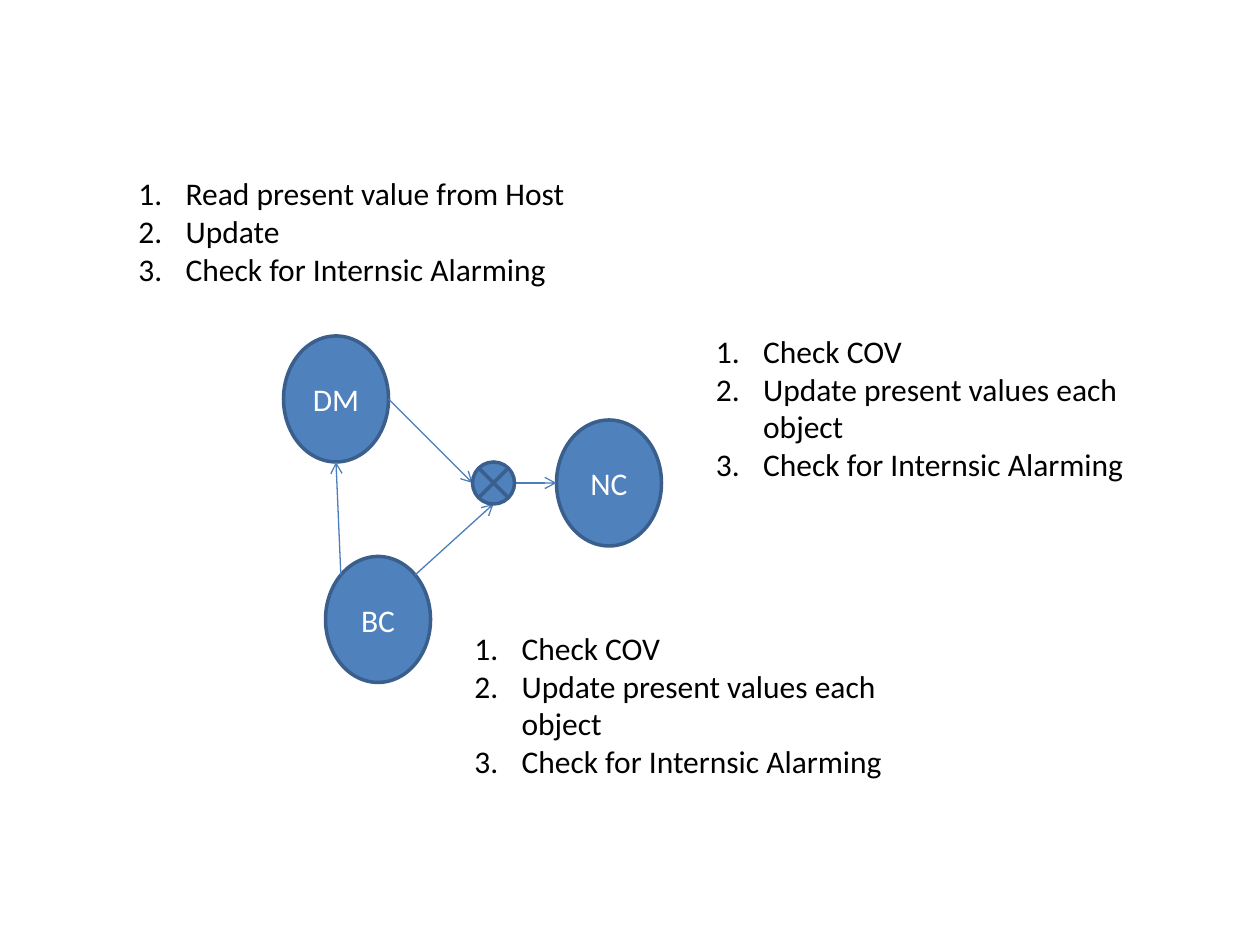
import math

import pptx
import pptx.dml.color
import pptx.enum.shapes
import pptx.enum.text
import pptx.oxml.ns
import pptx.oxml.xmlchemy
import pptx.util
from lxml import etree

PX = 7620
FONT = "Calibri"
BLUE = pptx.dml.color.RGBColor(0x4F, 0x81, 0xBD)
OUTLINE = pptx.dml.color.RGBColor(0x3A, 0x5F, 0x8C)
ARROW = pptx.dml.color.RGBColor(0x4B, 0x7E, 0xBC)
WHITE = pptx.dml.color.RGBColor(0xFF, 0xFF, 0xFF)
BLACK = pptx.dml.color.RGBColor(0, 0, 0)
SHAPES = pptx.enum.shapes.MSO_SHAPE
TOP, RIGHT, BOTTOM, LEFT = -90, 0, 90, 180
UPPER_LEFT, UPPER_RIGHT = -135, -45

ALARM_STEP = "Check for Internsic Alarming"
HOST_STEPS = ["Read present value from Host", "Update", ALARM_STEP]
COV_STEPS = ["Check COV", "Update present values each object", ALARM_STEP]


def emu(*lengths):
    """Turn px lengths into EMU."""
    return [pptx.util.Emu(round(length * PX)) for length in lengths]


def add_run(paragraph, text, color):
    """Add one run in the slide's text style."""
    run = paragraph.add_run()
    run.text = text
    run.font.name = FONT
    run.font.size = pptx.util.Pt(18)
    run.font.color.rgb = color


def add_node(slide, box, kind, label=None):
    """Draw a node of the flow, with an optional centred label."""
    node = slide.shapes.add_shape(kind, *emu(*box))
    node.shadow.inherit = False
    node.fill.solid()
    node.fill.fore_color.rgb = BLUE
    node.line.color.rgb = OUTLINE
    node.line.width = pptx.util.Pt(2)
    if label:
        node.text_frame.vertical_anchor = pptx.enum.text.MSO_ANCHOR.MIDDLE
        paragraph = node.text_frame.paragraphs[0]
        paragraph.alignment = pptx.enum.text.PP_ALIGN.CENTER
        add_run(paragraph, label, WHITE)


def rim_point(box, degrees):
    """Return the point at an angle on the ellipse inside a box."""
    left, top, width, height = box
    angle = math.radians(degrees)
    return (left + width / 2 * (1 + math.cos(angle)),
            top + height / 2 * (1 + math.sin(angle)))


def add_arrow(slide, start, end):
    """Draw a thin arrow between two points."""
    arrow = slide.shapes.add_connector(
        pptx.enum.shapes.MSO_CONNECTOR.STRAIGHT, *emu(*start, *end))
    arrow.line.color.rgb = ARROW
    arrow.line.width = pptx.util.Pt(0.75)
    qn = pptx.oxml.ns.qn
    properties = arrow.element.spPr
    etree.SubElement(properties.find(qn("a:ln")), qn("a:tailEnd"), type="arrow")
    etree.SubElement(properties, qn("a:effectLst"))


def add_flow(slide, box):
    """Draw the three nodes, their junction and the arrows between them."""
    left, top = box[:2]
    dm = (left, top, 100, 120)
    nc = (left + 260, top + 80, 100, 120)
    bc = (left + 40, top + 210, 100, 120)
    junction = (left + 180, top + 120, 40, 40)
    for node, label in ((dm, "DM"), (nc, "NC"), (bc, "BC")):
        add_node(slide, node, SHAPES.OVAL, label)
    for source, exit_angle, target, entry_angle in (
        (bc, UPPER_LEFT, dm, BOTTOM),
        (bc, UPPER_RIGHT, junction, BOTTOM),
        (dm, RIGHT, junction, LEFT),
        (junction, RIGHT, nc, LEFT),
    ):
        add_arrow(slide, rim_point(source, exit_angle), rim_point(target, entry_angle))
    add_node(slide, junction, SHAPES.FLOWCHART_SUMMING_JUNCTION)


def add_steps(slide, box, steps):
    """Write a numbered list of steps."""
    frame = slide.shapes.add_textbox(*emu(*box)).text_frame
    frame.word_wrap = True
    frame.auto_size = pptx.enum.text.MSO_AUTO_SIZE.SHAPE_TO_FIT_TEXT
    qn = pptx.oxml.ns.qn
    indent = emu(45)[0]
    for index, step in enumerate(steps):
        paragraph = frame.add_paragraph() if index else frame.paragraphs[0]
        add_run(paragraph, step, BLACK)
        properties = paragraph._p.get_or_add_pPr()
        properties.set("marL", str(indent))
        properties.set("indent", str(-indent))
        etree.SubElement(properties, qn("a:buFont"), typeface="+mj-lt")
        etree.SubElement(properties, qn("a:buAutoNum"), type="arabicPeriod")


def main():
    """Build the slide and save it."""
    deck = pptx.Presentation()
    deck.slide_width, deck.slide_height = emu(1200, 900)
    slide = deck.slides.add_slide(deck.slide_layouts.get_by_name("Blank"))
    add_flow(slide, (270, 320, 360, 330))
    add_steps(slide, (670, 310, 430, 157), COV_STEPS)
    add_steps(slide, (440, 593, 430, 157), COV_STEPS)
    add_steps(slide, (120, 160, 430, 157), HOST_STEPS)
    deck.save("out.pptx")


if __name__ == "__main__":
    main()
